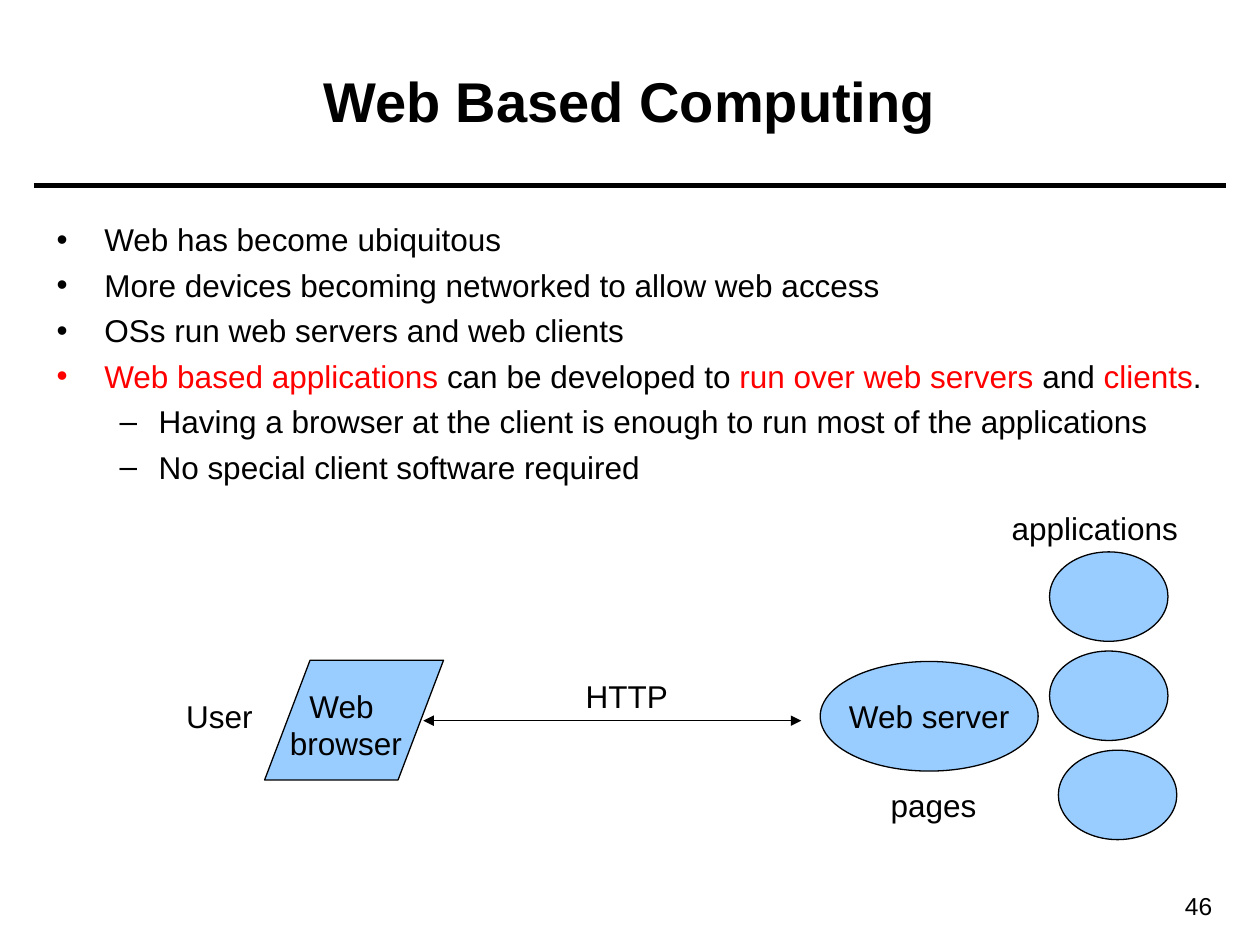
from lxml import etree
from pptx import Presentation
from pptx import util as u
from pptx.dml.color import RGBColor
from pptx.enum import shapes, text
from pptx.oxml.ns import qn

COLS, ROWS = 100, 75
CELL = u.Inches(0.1)
HEX = {"ink": "000000", "red": "FF0000", "sky": "99CCFF"}
FONT = "Arial"
LEFT, MID, RIGHT = text.PP_ALIGN.LEFT, text.PP_ALIGN.CENTER, text.PP_ALIGN.RIGHT
FORM = shapes.MSO_SHAPE

# Each level: bullet, text indent and hanging indent in grid cells
LEVELS = [("•", 3.8, 3.8), ("–", 8.1, 3.1)]
# Each point: level, then (colour, words) runs
POINTS = [
    (0, [("ink", "Web has become ubiquitous")]),
    (0, [("ink", "More devices becoming networked to allow web access")]),
    (0, [("ink", "OSs run web servers and web clients")]),
    (0, [("red", "Web based applications "), ("ink", "can be developed to "),
         ("red", "run over web servers"), ("ink", " and "),
         ("red", "clients"), ("ink", ".")]),
    (1, [("ink", "Having a browser at the client is enough "
                 "to run most of the applications")]),
    (1, [("ink", "No special client software required")]),
]
# Each label: words, left, top, width, height, alignment
LABELS = [
    ("Web \nbrowser", 22, 54, 10.9, 7, MID),
    ("applications", 79.3, 39.9, 15.2, 4, LEFT),
    ("HTTP", 45.5, 53.2, 8.5, 4, LEFT),
    ("User", 13.8, 54.8, 7.3, 4, LEFT),
    ("pages", 69.7, 61.9, 8.8, 4, LEFT),
]


def grid(*cells):
    return [round(c * CELL) for c in cells]


def color(name):
    return RGBColor.from_string(HEX[name])


def style(run, size, tint="ink", bold=False):
    font = run.font
    font.name, font.size, font.bold = FONT, u.Pt(size), bold
    font.color.rgb = color(tint)


def write(frame, words, size=18, align=LEFT, bold=False):
    frame.text = words
    for para in frame.paragraphs:
        para.alignment = align
        for run in para.runs:
            style(run, size, bold=bold)


def label(slide, words, box, size=18, align=LEFT, bold=False, wrap=False):
    frame = slide.shapes.add_textbox(*grid(*box)).text_frame
    frame.word_wrap = wrap
    frame.vertical_anchor = text.MSO_ANCHOR.MIDDLE
    write(frame, words, size, align, bold)


def points(slide, box):
    frame = slide.shapes.add_textbox(*grid(*box)).text_frame
    frame.word_wrap = True
    frame.margin_right = u.Inches(0.05)
    for i, (level, runs) in enumerate(POINTS):
        para = frame.add_paragraph() if i else frame.paragraphs[0]
        para.level = level
        para.space_before = u.Pt(4.4)
        mark, left, hang = LEVELS[level]
        props = para._p.get_or_add_pPr()
        props.set("marL", str(grid(left)[0]))
        props.set("indent", str(grid(-hang)[0]))
        etree.SubElement(props, qn("a:buFont"), typeface=FONT)
        etree.SubElement(props, qn("a:buChar"), char=mark)
        for tint, words in runs:
            run = para.add_run()
            run.text = words
            style(run, 18, tint)


def node(slide, form, box):
    item = slide.shapes.add_shape(form, *grid(*box))
    item.shadow.inherit = False
    item.fill.solid()
    item.fill.fore_color.rgb = color("sky")
    item.line.color.rgb = color("ink")
    item.line.width = u.Pt(0.75)
    return item


def rule(slide, start, end, row, width, heads=False):
    """Draw a level line, with an arrowhead at both ends if asked."""
    item = slide.shapes.add_connector(
        shapes.MSO_CONNECTOR.STRAIGHT, *grid(start, row, end, row))
    item.line.color.rgb = color("ink")
    item.line.width = u.Pt(width)
    if heads:
        for tag in ("a:headEnd", "a:tailEnd"):
            etree.SubElement(item.line._get_or_add_ln(), qn(tag), type="triangle")
    etree.SubElement(item._element.spPr, qn("a:effectLst"))


def main():
    deck = Presentation()
    deck.slide_width, deck.slide_height = COLS * CELL, ROWS * CELL
    slide = deck.slides.add_slide(deck.slide_layouts[6])

    rule(slide, 2.7, 97.3, 14.7, 3)
    label(slide, "46", (86.8, 70.2, 10.4, 3.4), 14, RIGHT, wrap=True)
    label(slide, "Web Based Computing", (3.5, 1.7, 92.9, 12.5), 32, MID,
          bold=True, wrap=True)
    points(slide, (3.5, 17, 92.9, 51.2))

    node(slide, FORM.PARALLELOGRAM, (21, 52.4, 14.2, 9.5)).adjustments[0] = 0.38
    server = node(slide, FORM.OVAL, (65.1, 52.5, 17.3, 8.7)).text_frame
    server.word_wrap = False
    server.vertical_anchor = text.MSO_ANCHOR.MIDDLE
    write(server, "Web server", align=MID)
    for i, left in enumerate((83.3, 83.3, 84)):
        node(slide, FORM.OVAL, (left, 43.8 + 7.87 * i, 9.4, 7.1))

    rule(slide, 33.6, 63.6, 57.2, 0.75, heads=True)
    for words, *box, align in LABELS:
        label(slide, words, box, align=align)
    deck.save("out.pptx")


if __name__ == "__main__":
    main()
